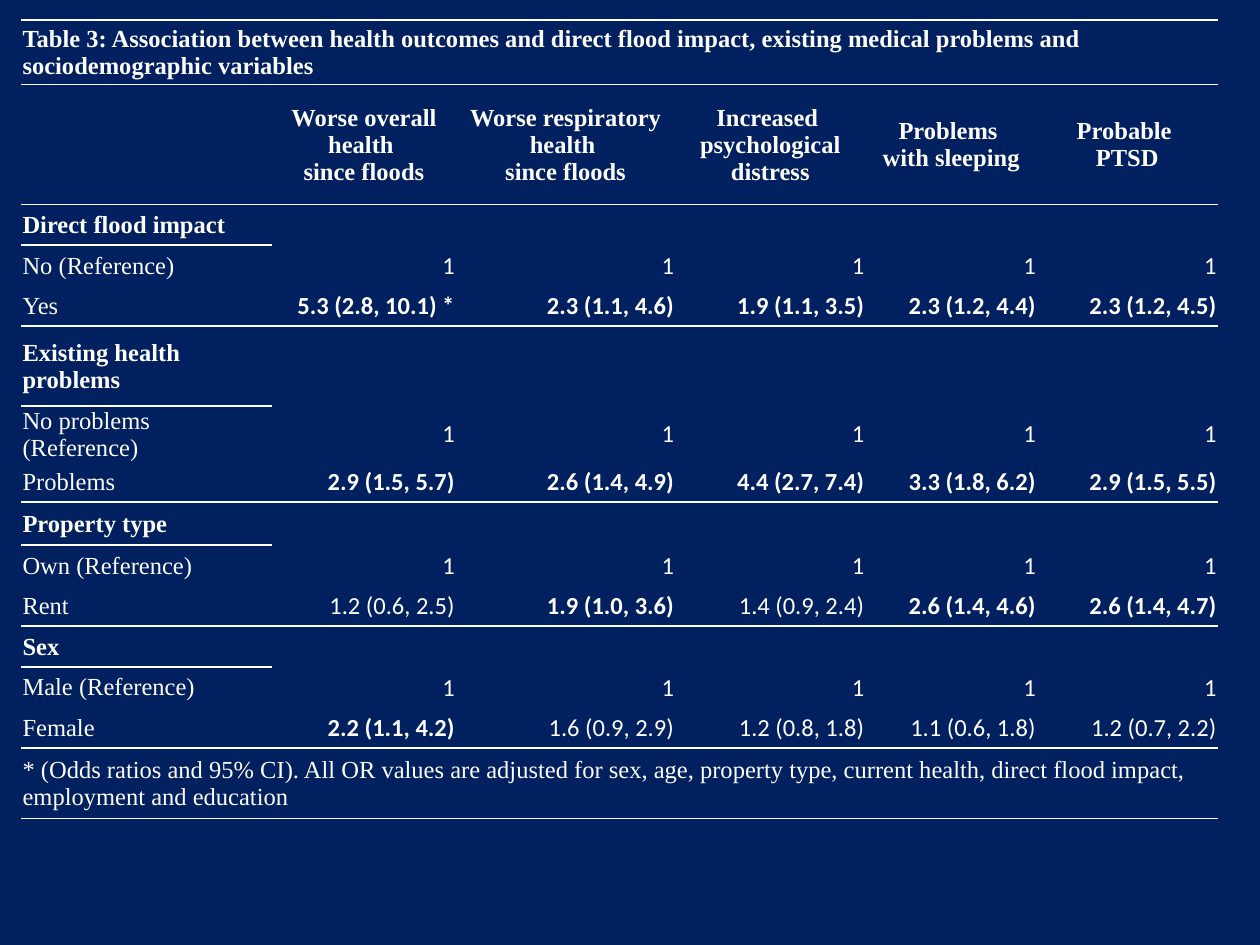
import lxml.etree
import pptx
import pptx.dml.color
import pptx.enum.text
import pptx.oxml.ns
import pptx.util

Pt = pptx.util.Pt
qn = pptx.oxml.ns.qn
ALIGN = pptx.enum.text.PP_ALIGN
COLORS = {"navy": "002060", "white": "FFFFFF"}
PLAIN_TABLE = "{2D5ABB26-0587-4C30-8999-92F81FD0307C}"
COLUMN_WIDTHS = [143.3, 105.1, 125.3, 108.7, 98, 103.3]
ROW_HEIGHTS = [36.9, 68.4] + [23.2] * 3 + [45.8, 25.2, 23.2] + [24.5] + [23.2] * 5 + [40.2]
TITLE = (
    "Table 3: Association between health outcomes and direct flood impact, "
    "existing medical problems and sociodemographic variables"
)
FOOTNOTE = (
    "* (Odds ratios and 95% CI). All OR values are adjusted for sex, age, property type, "
    "current health, direct flood impact, employment and education"
)
OUTCOMES = [
    "Worse overall health \vsince floods",
    "Worse respiratory health \vsince floods",
    "Increased \vpsychological distress",
    "Problems \vwith sleeping",
    "Probable \vPTSD",
]
SECTIONS = [
    ("Direct flood impact", "No (Reference)", "Yes",
     ["5.3 (2.8, 10.1) *", "2.3 (1.1, 4.6)", "1.9 (1.1, 3.5)", "2.3 (1.2, 4.4)", "2.3 (1.2, 4.5)"]),
    ("Existing health problems", "No problems (Reference)", "Problems",
     ["2.9 (1.5, 5.7)", "2.6 (1.4, 4.9)", "4.4 (2.7, 7.4)", "3.3 (1.8, 6.2)", "2.9 (1.5, 5.5)"]),
    ("Property type", "Own (Reference)", "Rent",
     ["1.2 (0.6, 2.5)", "1.9 (1.0, 3.6)", "1.4 (0.9, 2.4)", "2.6 (1.4, 4.6)", "2.6 (1.4, 4.7)"]),
    ("Sex", "Male (Reference)", "Female",
     ["2.2 (1.1, 4.2)", "1.6 (0.9, 2.9)", "1.2 (0.8, 1.8)", "1.1 (0.6, 1.8)", "1.2 (0.7, 2.2)"]),
]


def is_significant(value):
    """Tell whether the lower confidence limit reaches one."""
    return float(value.split("(")[1].split(",")[0]) >= 1


class SlideBuilder:
    """Hold the style and the current slide."""

    size = Pt(14)
    label_font = "Times New Roman"
    value_font = "Calibri"

    def __init__(self, deck):
        """Add a blank page with the background colour."""
        self.page = deck.slides.add_slide(deck.slide_layouts[6])
        fill = self.page.background.fill
        fill.solid()
        fill.fore_color.rgb = pptx.dml.color.RGBColor.from_string(COLORS["navy"])

    def table(self, left, top, widths, heights):
        """Add an unstyled table with clear cells and tight margins."""
        frame = self.page.shapes.add_table(
            len(heights), len(widths), Pt(left), Pt(top), Pt(sum(widths)), Pt(sum(heights))
        )
        grid = frame.table
        grid.first_row = grid.horz_banding = False
        grid._tbl.tblPr.find(qn("a:tableStyleId")).text = PLAIN_TABLE
        for column, width in zip(grid.columns, widths):
            column.width = Pt(width)
        for row, height in zip(grid.rows, heights):
            row.height = Pt(height)
        layout = {
            "margin_left": Pt(0.7),
            "margin_right": Pt(0.7),
            "margin_top": Pt(0.7),
            "margin_bottom": 0,
            "vertical_anchor": pptx.enum.text.MSO_ANCHOR.MIDDLE,
        }
        for cell in grid.iter_cells():
            cell.fill.background()
            for name, value in layout.items():
                setattr(cell, name, value)
        return grid

    def label(self, cell, text, font, bold=False, align=None):
        """Put one paragraph into a cell."""
        para = cell.text_frame.paragraphs[0]
        para.text = text
        para.alignment = align
        for span in para.runs:
            for name, value in {"name": font, "size": self.size, "bold": bold}.items():
                setattr(span.font, name, value)
            span.font.color.rgb = pptx.dml.color.RGBColor.from_string(COLORS["white"])
        for line_break in para._p.findall(qn("a:br")):
            lxml.etree.SubElement(line_break, qn("a:rPr"), sz=str(int(self.size.pt * 100)))

    def rule(self, cells, sides):
        """Draw white borders on the named sides of cells."""
        for cell in cells:
            for place, side in enumerate(sides):
                line = lxml.etree.Element(qn("a:" + side), w=str(Pt(1)))
                fill = lxml.etree.SubElement(line, qn("a:solidFill"))
                lxml.etree.SubElement(fill, qn("a:srgbClr"), val=COLORS["white"])
                cell._tc.get_or_add_tcPr().insert(place, line)


def main():
    """Build the odds ratio table."""
    deck = pptx.Presentation()
    deck.slide_width, deck.slide_height = Pt(720), Pt(540)
    builder = SlideBuilder(deck)
    grid = builder.table(12.2, 11.5, COLUMN_WIDTHS, ROW_HEIGHTS)
    rows = [list(row.cells) for row in grid.rows]

    for index, text, bold in [(0, TITLE, True), (-1, FOOTNOTE, False)]:
        rows[index][0].merge(rows[index][-1])
        builder.label(rows[index][0], text, builder.label_font, bold)
    for index in (0, 1, -1):
        builder.rule(rows[index], ["lnT", "lnB"])
    for cell, outcome in zip(rows[1][1:], OUTCOMES):
        builder.label(cell, outcome, builder.label_font, True, ALIGN.CENTER)

    for number, (heading, reference, group, ratios) in enumerate(SECTIONS):
        start = 2 + 3 * number
        head_row, reference_row, group_row = rows[start:start + 3]
        builder.label(head_row[0], heading, builder.label_font, True)
        builder.label(reference_row[0], reference, builder.label_font)
        builder.label(group_row[0], group, builder.label_font)
        for cell in reference_row[1:]:
            builder.label(cell, "1", builder.value_font, False, ALIGN.RIGHT)
        for cell, ratio in zip(group_row[1:], ratios):
            builder.label(cell, ratio, builder.value_font, is_significant(ratio), ALIGN.RIGHT)
        builder.rule(head_row[:1], ["lnT", "lnB"])
        builder.rule(group_row, ["lnB"])

    deck.save("out.pptx")


if __name__ == "__main__":
    main()
